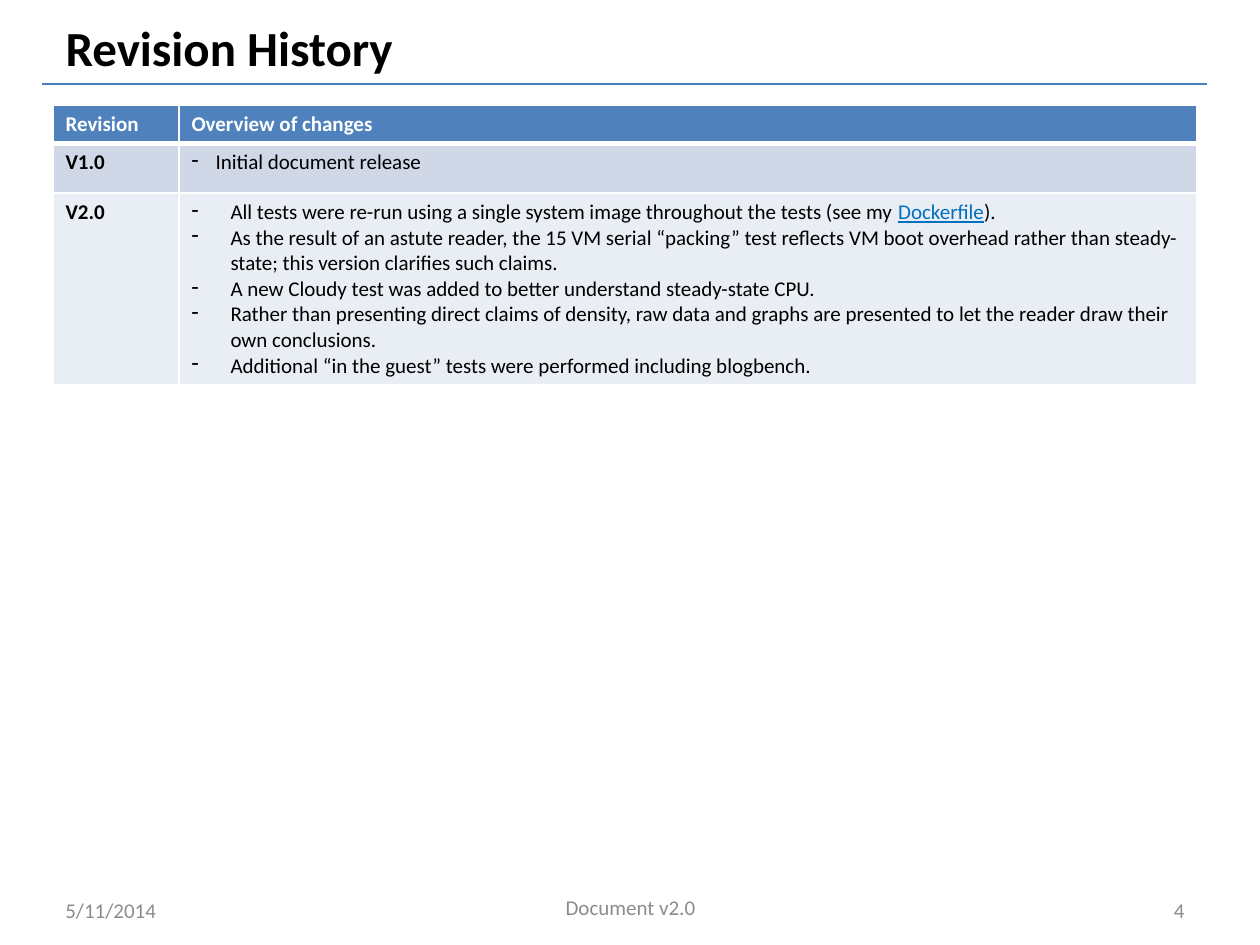
"""Builds the Revision History slide with its table of changes and footer."""
from lxml.etree import SubElement
from pptx import Presentation
from pptx.dml.color import RGBColor
from pptx.enum.shapes import MSO_CONNECTOR
from pptx.enum.text import MSO_ANCHOR, PP_ALIGN
from pptx.oxml.ns import qn
from pptx.util import Emu, Pt

SCALE = 914400 // 126
BLACK = RGBColor(0x00, 0x00, 0x00)
WHITE = RGBColor(0xFF, 0xFF, 0xFF)
GRAY = RGBColor(0x8C, 0x8C, 0x8C)
RULE_BLUE = RGBColor(0x4B, 0x7E, 0xBC)
LINK_BLUE = RGBColor(0x00, 0x70, 0xC0)
ROW_FILLS = [
    RGBColor(0x4F, 0x81, 0xBD),
    RGBColor(0xD0, 0xD8, 0xE8),
    RGBColor(0xE9, 0xED, 0xF4),
]

TITLE = "Revision History"
LINK = "Dockerfile"
HEADINGS = ("Revision", "Overview of changes")
REVISIONS = [
    ("V1.0", 0, 24, ["Initial document release"]),
    ("V2.0", 1, 39, [
        "All tests were re-run using a single system image throughout the tests (see my Dockerfile).",
        "As the result of an astute reader, the 15 VM serial “packing” test reflects VM boot overhead "
        "rather than steady-state; this version clarifies such claims.",
        "A new Cloudy test was added to better understand steady-state CPU.",
        "Rather than presenting direct claims of density, raw data and graphs are presented to let "
        "the reader draw their own conclusions.",
        "Additional “in the guest” tests were performed including blogbench.",
    ]),
]
COLUMN_WIDTHS = [126, 1018]
ROW_HEIGHTS = [38, 50, 190]
FOOTERS = [
    ("5/11/2014", (53, 885, 294, 50), PP_ALIGN.LEFT),
    ("Document v2.0", (431, 882, 399, 50), PP_ALIGN.CENTER),
    ("4", (903, 885, 294, 50), PP_ALIGN.RIGHT),
]


def px(*lengths):
    return [Emu(length * SCALE) for length in lengths]


def write(para, text, color, size=12, **formats):
    span = para.add_run()
    span.text = text
    span.font.color.rgb = color
    for name, value in {"name": "Calibri", "size": Pt(size), "bold": False, **formats}.items():
        setattr(span.font, name, value)


def add_bullet(para, indent):
    properties = para._p.get_or_add_pPr()
    length = indent * SCALE
    properties.set("marL", str(length))
    properties.set("indent", str(-length))
    SubElement(properties, qn("a:buFontTx"))
    SubElement(properties, qn("a:buChar"), char="-")


def style_cell(cell, fill, bottom):
    properties = cell._tc.get_or_add_tcPr()
    for side, width in {"lnL": 1, "lnR": 1, "lnT": 1, "lnB": bottom}.items():
        border = SubElement(properties, qn(f"a:{side}"), w=str(Pt(width)))
        SubElement(SubElement(border, qn("a:solidFill")), qn("a:srgbClr"), val=str(WHITE))
    cell.fill.solid()
    cell.fill.fore_color.rgb = fill


def add_title(page):
    box = page.shapes.title
    box.left, box.top, box.width, box.height = px(53, 10, 1061, 73)
    box.text_frame.vertical_anchor = MSO_ANCHOR.MIDDLE
    para = box.text_frame.paragraphs[0]
    para.alignment = PP_ALIGN.LEFT
    write(para, TITLE, BLACK, 28, bold=True)
    rule = page.shapes.add_connector(MSO_CONNECTOR.STRAIGHT, *px(42, 84, 1207, 84))
    rule.line.color.rgb = RULE_BLUE
    rule.line.width = Pt(0.75)
    SubElement(rule._element.spPr, qn("a:effectLst"))


def add_changes(cell, level, indent, changes):
    frame = cell.text_frame
    for index, change in enumerate(changes):
        para = frame.add_paragraph() if index else frame.paragraphs[0]
        para.level = level
        add_bullet(para, indent)
        before, link, after = change.partition(LINK)
        write(para, before, BLACK)
        if link:
            write(para, link, LINK_BLUE, underline=True)
            write(para, after, BLACK)


def add_history(page):
    size = px(53, 105, sum(COLUMN_WIDTHS), sum(ROW_HEIGHTS))
    table = page.shapes.add_table(len(ROW_HEIGHTS), len(COLUMN_WIDTHS), *size).table
    for column, width in zip(table.columns, px(*COLUMN_WIDTHS)):
        column.width = width
    for index, (row, height, fill) in enumerate(zip(table.rows, px(*ROW_HEIGHTS), ROW_FILLS)):
        row.height = height
        for cell in row.cells:
            style_cell(cell, fill, 1 if index else 3)
    for column, heading in enumerate(HEADINGS):
        write(table.cell(0, column).text_frame.paragraphs[0], heading, WHITE, bold=True)
    for row, (version, level, indent, changes) in enumerate(REVISIONS, 1):
        write(table.cell(row, 0).text_frame.paragraphs[0], version, BLACK, bold=True)
        add_changes(table.cell(row, 1), level, indent, changes)


def add_footers(page):
    for text, place, alignment in FOOTERS:
        frame = page.shapes.add_textbox(*px(*place)).text_frame
        frame.word_wrap = True
        frame.vertical_anchor = MSO_ANCHOR.MIDDLE
        frame.paragraphs[0].alignment = alignment
        write(frame.paragraphs[0], text, GRAY)


def main():
    deck = Presentation()
    deck.slide_width, deck.slide_height = px(1260, 945)
    page = deck.slides.add_slide(deck.slide_layouts[5])
    add_title(page)
    add_history(page)
    add_footers(page)
    deck.save("out.pptx")


if __name__ == "__main__":
    main()
